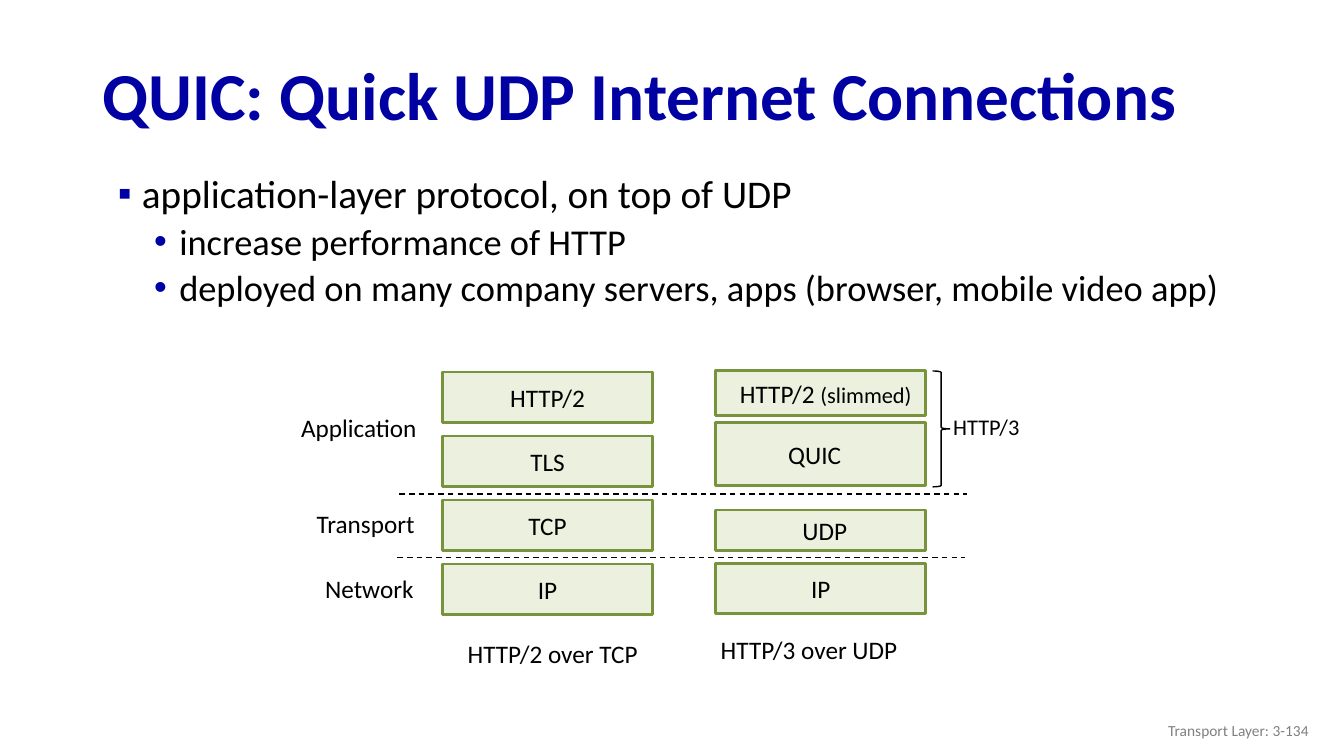
from dataclasses import dataclass

from lxml import etree
from pptx import Presentation, util as u
from pptx.dml.color import RGBColor
from pptx.enum import dml, shapes, text
from pptx.oxml import ns


@dataclass(frozen=True)
class Theme:
    """Colours, font and type sizes of the slide."""
    font: str = "Calibri"
    navy: str = "0000A3"
    bullet_blue: str = "0000A8"
    ink: str = "000000"
    grey: str = "808080"
    layer_fill: str = "EBF1DE"
    layer_line: str = "77933C"
    title: int = 48
    body: int = 28
    sub_body: int = 26
    label: int = 18
    small: int = 16
    footer: int = 11


THEME = Theme()
ALIGN = text.PP_ALIGN
LAYER_WIDTH = 2.08
TCP_LEFT, UDP_LEFT = 4.39, 7.1


def color(code):
    """Turn a hex code into a colour."""
    return RGBColor.from_string(code)


def place(left, top, width, height):
    """Convert a frame in inches to lengths."""
    return [u.Inches(value) for value in (left, top, width, height)]


def add_span(para, words, size=THEME.label, ink=THEME.ink, bold=False):
    """Append one formatted run to a paragraph."""
    span = para.add_run()
    span.text = words
    span.font.name = THEME.font
    span.font.size = u.Pt(size)
    span.font.bold = bold
    span.font.color.rgb = color(ink)


def add_text(page, words, frame, align=ALIGN.LEFT, wrap=True,
             anchor=text.MSO_ANCHOR.TOP, spacing=1.0, **style):
    """Add a text box holding one paragraph."""
    box = page.shapes.add_textbox(*place(*frame))
    box.text_frame.word_wrap = wrap
    box.text_frame.vertical_anchor = anchor
    para = box.text_frame.paragraphs[0]
    para.alignment = align
    para.line_spacing = spacing
    add_span(para, words, **style)


def set_bullet(para, mark, ink, margin, hang):
    """Give a paragraph a coloured bullet and a hanging indent."""
    props = para._p.get_or_add_pPr()
    props.set("marL", str(u.Inches(margin)))
    props.set("indent", str(-u.Inches(hang)))
    tint = etree.SubElement(props, ns.qn("a:buClr"))
    etree.SubElement(tint, ns.qn("a:srgbClr"), val=ink)
    etree.SubElement(props, ns.qn("a:buFont"), typeface="Arial")
    etree.SubElement(props, ns.qn("a:buChar"), char=mark)


def add_bullets(page, items, frame):
    """Add the two-level bullet list from (level, words) pairs."""
    box = page.shapes.add_textbox(*place(*frame))
    box.text_frame.word_wrap = True
    for index, (level, words) in enumerate(items):
        para = box.text_frame.add_paragraph() if index else box.text_frame.paragraphs[0]
        para.level = level
        para.line_spacing = 0.9
        para.space_before = u.Pt(5 if index else 0)
        if level:
            set_bullet(para, "•", THEME.bullet_blue, 0.76, 0.25)
        else:
            set_bullet(para, "▪", THEME.navy, 0.39, 0.24)
        add_span(para, words, size=THEME.sub_body if level else THEME.body)


def add_layer(page, left, top, height, name, note="", shift=0.0):
    """Add a protocol layer with its centred name and an optional small note."""
    box = page.shapes.add_shape(shapes.MSO_SHAPE.RECTANGLE,
                                *place(left, top, LAYER_WIDTH, height))
    box.shadow.inherit = False
    box.fill.solid()
    box.fill.fore_color.rgb = color(THEME.layer_fill)
    box.line.color.rgb = color(THEME.layer_line)
    box.line.width = u.Pt(2)
    frame = box.text_frame
    frame.word_wrap = True
    frame.vertical_anchor = text.MSO_ANCHOR.MIDDLE
    frame.margin_top = frame.margin_bottom = 0
    frame.margin_left = u.Inches(0.1 + shift)
    frame.margin_right = u.Inches(0.1 - shift)
    para = frame.paragraphs[0]
    para.alignment = ALIGN.CENTER
    add_span(para, name)
    if note:
        add_span(para, note, size=THEME.small)


def add_divider(page, left, top, width):
    """Add a dashed horizontal line between layers."""
    line = page.shapes.add_connector(
        shapes.MSO_CONNECTOR.STRAIGHT, *place(left, top, left + width, top))
    line.line.color.rgb = color(THEME.ink)
    line.line.width = u.Pt(1)
    line.line.dash_style = dml.MSO_LINE.DASH
    etree.SubElement(line._element.spPr, ns.qn("a:effectLst"))


def add_brace(page, frame):
    """Add a right brace that spans the grouped layers."""
    brace = page.shapes.add_shape(shapes.MSO_SHAPE.RIGHT_BRACE, *place(*frame))
    brace.shadow.inherit = False
    brace.fill.background()
    brace.line.color.rgb = color(THEME.ink)
    brace.line.width = u.Pt(1)


def add_stacks(page):
    """Draw the TCP stack and the UDP stack side by side."""
    for row, name in enumerate(("HTTP/2", "TLS", "TCP", "IP")):
        add_layer(page, TCP_LEFT, 3.69 + row * 0.635, 0.5, name)
    add_layer(page, UDP_LEFT, 3.68, 0.44, "HTTP/2 ", note="(slimmed)", shift=0.05)
    add_layer(page, UDP_LEFT, 4.19, 0.63, "QUIC", shift=-0.06)
    add_layer(page, UDP_LEFT, 5.06, 0.4, "UDP", shift=0.04)
    add_layer(page, UDP_LEFT, 5.59, 0.5, "IP")
    add_brace(page, (9.25, 3.68, 0.17, 1.15))
    add_text(page, "HTTP/3", (9.23, 4.05, 0.98, 0.37), align=ALIGN.RIGHT, size=THEME.small)


def add_labels(page):
    """Name the network layers and caption both stacks."""
    for name, right, top in (("Application", 4.23, 4.04), ("Transport", 4.21, 4.99),
                             ("Network", 4.2, 5.64)):
        add_text(page, name, (right - 1.51, top, 1.51, 0.4), align=ALIGN.RIGHT)
    add_text(page, "HTTP/2 over TCP", (4.54, 6.28, 1.93, 0.4), wrap=False)
    add_text(page, "HTTP/3 over UDP", (7.05, 6.24, 1.98, 0.4), wrap=False)
    add_divider(page, 3.96, 4.9, 5.63)
    add_divider(page, 3.94, 5.53, 5.63)


def main():
    """Build the slide and save the deck."""
    deck = Presentation()
    deck.slide_width, deck.slide_height = u.Inches(13.33), u.Inches(7.5)
    page = deck.slides.add_slide(deck.slide_layouts[6])
    add_text(page, "QUIC: Quick UDP Internet Connections", (0.92, 0.49, 11.5, 0.98),
             anchor=text.MSO_ANCHOR.MIDDLE, spacing=0.9,
             size=THEME.title, ink=THEME.navy, bold=True)
    add_bullets(page, (
        (0, "application-layer protocol, on top of UDP"),
        (1, "increase performance of HTTP"),
        (1, "deployed on many company servers, apps (browser, mobile video app)"),
    ), (0.92, 1.68, 11.5, 1.55))
    add_stacks(page)
    add_labels(page)
    add_text(page, "Transport Layer: 3-134", (10.08, 7.05, 3, 0.4), align=ALIGN.RIGHT,
             anchor=text.MSO_ANCHOR.MIDDLE, size=THEME.footer, ink=THEME.grey)
    deck.save("out.pptx")


if __name__ == "__main__":
    main()
